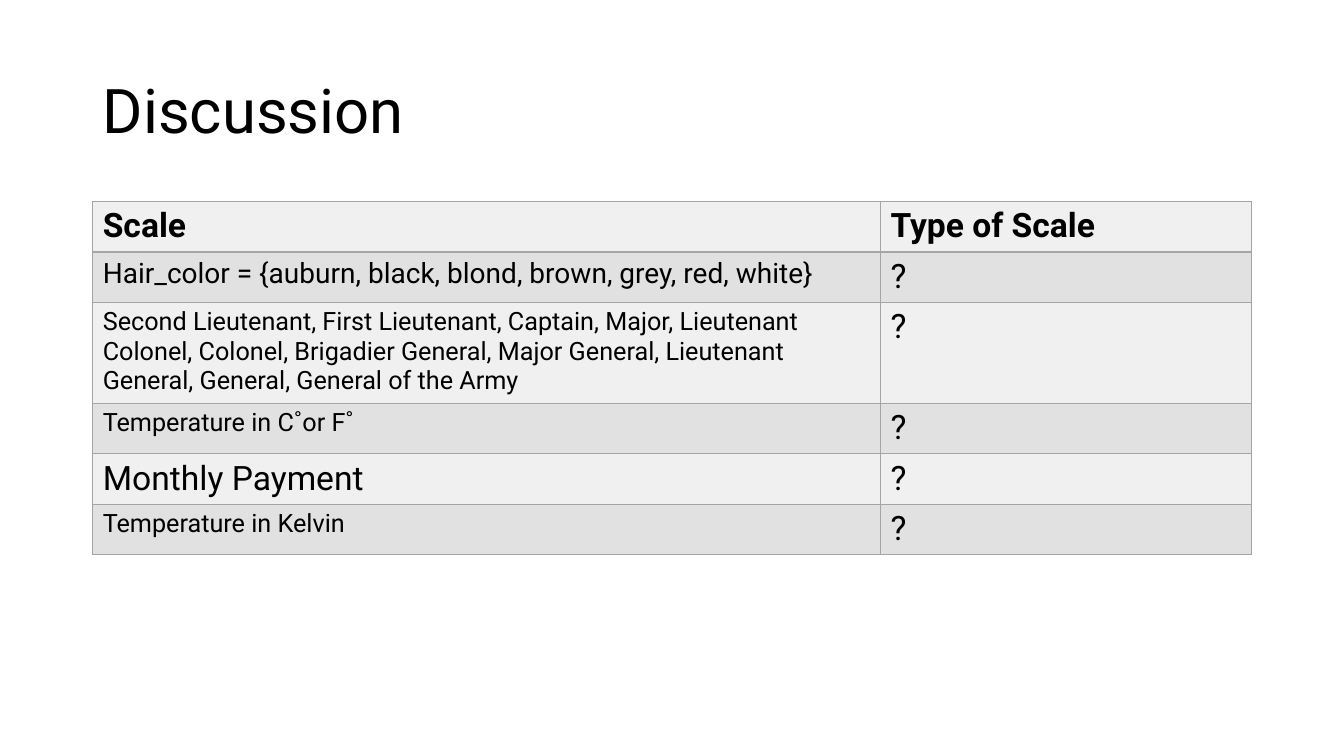
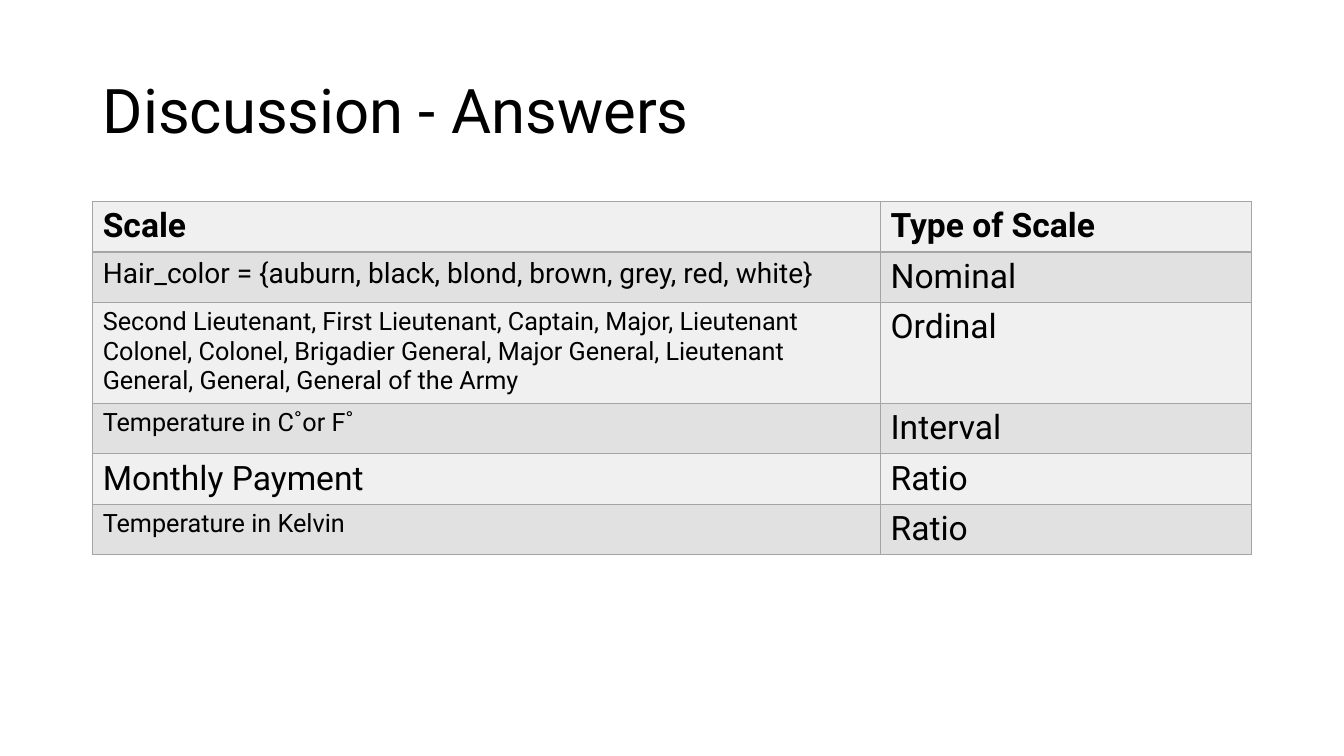
from lxml.etree import SubElement
from pptx import Presentation
from pptx.dml.color import RGBColor
from pptx.enum.text import MSO_ANCHOR
from pptx.oxml.ns import qn
from pptx.util import Inches, Pt

WIDTH, HEIGHT = 13.33, 7.5
MARGIN = 0.92
CONTENT_WIDTH = WIDTH - 2 * MARGIN
COLUMN_SHARES = (0.68, 0.32)
LINE_HEIGHT = 0.49
FONT = "Roboto"
INK, BORDER = "000000", "A5A5A5"
ROW_FILLS = ("F0F0F0", "E1E1E1")
TITLE_SIZE, BODY_SIZE = 44, 24

HEADINGS = ("Scale", "Type of Scale")
SCALES = (
    ("Hair_color = {auburn, black, blond, brown, grey, red, white}", 20, 1),
    ("Second Lieutenant, First Lieutenant, Captain, Major, Lieutenant Colonel, "
     "Colonel, Brigadier General, Major General, Lieutenant General, General, "
     "General of the Army", 18, 2),
    ("Temperature in C˚or F˚", 18, 1),
    ("Monthly Payment", BODY_SIZE, 1),
    ("Temperature in Kelvin", 18, 1),
)
SLIDES = (
    ("Discussion", ("?",) * len(SCALES)),
    ("Discussion - Answers",
     ("Nominal", "Ordinal", "Interval", "Ratio", "Ratio")),
)


def color(value):
    return RGBColor.from_string(value)


def add_span(para, text, size, bold=False):
    span = para.add_run()
    span.text = text
    span.font.name = FONT
    span.font.size = Pt(size)
    span.font.bold = bold
    span.font.color.rgb = color(INK)


def add_title(page, text):
    box = page.shapes.add_textbox(Inches(MARGIN), Inches(0.4),
                                  Inches(CONTENT_WIDTH), Inches(1.45))
    frame = box.text_frame
    frame.word_wrap = True
    frame.vertical_anchor = MSO_ANCHOR.MIDDLE
    para = frame.paragraphs[0]
    para.line_spacing = 0.9
    add_span(para, text, TITLE_SIZE)


def add_borders(cell):
    properties = cell._tc.get_or_add_tcPr()
    for side in ("L", "R", "T", "B"):
        line = SubElement(properties, qn(f"a:ln{side}"), w=str(Pt(1)))
        fill = SubElement(line, qn("a:solidFill"))
        SubElement(fill, qn("a:srgbClr"), val=BORDER)


def fill_cell(cell, text, size, background, bold):
    add_borders(cell)
    cell.fill.solid()
    cell.fill.fore_color.rgb = color(background)
    add_span(cell.text_frame.paragraphs[0], text, size, bold)


def add_scale_table(page, answers):
    heights = [1] + [lines for _, _, lines in SCALES]
    rows = [[(heading, BODY_SIZE) for heading in HEADINGS]]
    rows += [[(scale, size), (answer, BODY_SIZE)]
             for (scale, size, _), answer in zip(SCALES, answers)]
    table = page.shapes.add_table(
        len(rows), len(HEADINGS), Inches(MARGIN), Inches(2),
        Inches(CONTENT_WIDTH), Inches(LINE_HEIGHT * sum(heights))).table
    for column, share in zip(table.columns, COLUMN_SHARES):
        column.width = Inches(CONTENT_WIDTH * share)
    for index, (row, lines) in enumerate(zip(rows, heights)):
        table.rows[index].height = Inches(LINE_HEIGHT * lines)
        for cell, (text, size) in zip(table.rows[index].cells, row):
            fill_cell(cell, text, size, ROW_FILLS[index % 2], index == 0)


def main():
    deck = Presentation()
    deck.slide_width, deck.slide_height = Inches(WIDTH), Inches(HEIGHT)
    for title, answers in SLIDES:
        page = deck.slides.add_slide(deck.slide_layouts[6])
        add_title(page, title)
        add_scale_table(page, answers)
    deck.save("out.pptx")


if __name__ == "__main__":
    main()
